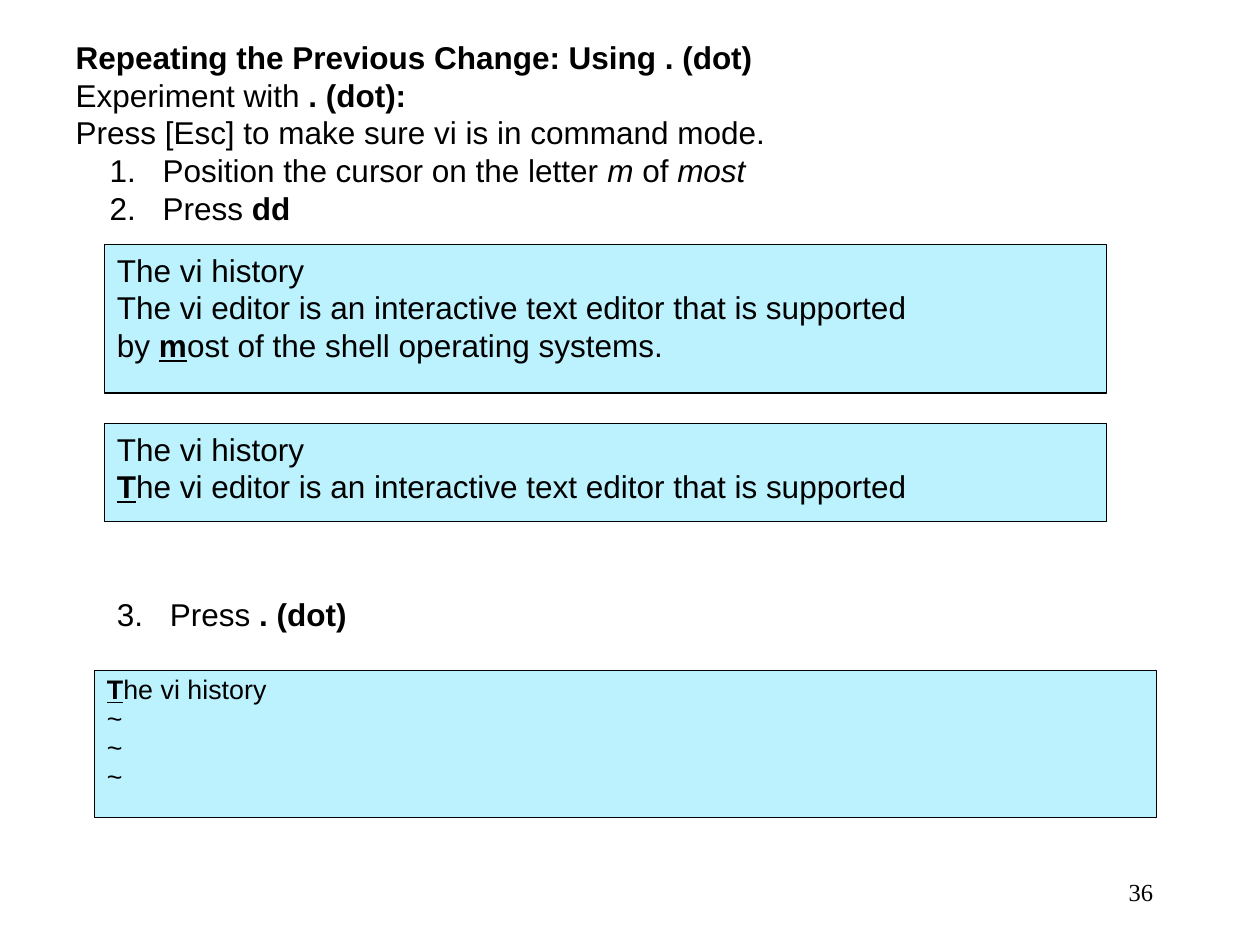
from lxml.etree import SubElement
from pptx import Presentation
from pptx.dml.color import RGBColor
from pptx.enum.shapes import MSO_SHAPE as Shape
from pptx.enum.text import MSO_ANCHOR as Anchor, MSO_AUTO_SIZE as AutoSize, PP_ALIGN as Align
from pptx.oxml.ns import qn
from pptx.util import Inches, Pt

BLACK = "000000"
SCREEN_FILL = "BCF1FE"
HANGING = 0.42


def color(value):
    """Turn a hex string into a colour."""
    return RGBColor.from_string(value)


def place(shape, box):
    """Move a shape to a left, top, width, height box in inches."""
    shape.left, shape.top, shape.width, shape.height = map(Inches, box)


def set_list_format(paragraph, number, indent):
    """Number a paragraph with a hanging indent, or clear its bullet."""
    properties = paragraph._p.get_or_add_pPr()
    if number:
        properties.set("marL", str(Inches(indent + HANGING)))
        properties.set("indent", str(-Inches(HANGING)))
        bullet = SubElement(properties, qn("a:buAutoNum"), type="arabicPeriod")
        if number > 1 and indent == 0:
            bullet.set("startAt", str(number))
    else:
        properties.set("marL", "0")
        properties.set("indent", "0")
        SubElement(properties, qn("a:buNone"))


def write(shape, lines, size=18, spacing=1.0, numbers=(), indent=0,
          font="Arial", align=Align.LEFT, anchor=Anchor.TOP):
    """Fill a shape with lines, each a list of (text, style letters) runs."""
    frame = shape.text_frame
    frame.word_wrap = True
    frame.auto_size = AutoSize.NONE
    frame.vertical_anchor = anchor
    for index, line in enumerate(lines):
        paragraph = frame.add_paragraph() if index else frame.paragraphs[0]
        paragraph.alignment = align
        paragraph.line_spacing = spacing
        paragraph.space_before = Pt(0)
        set_list_format(paragraph, numbers[index] if numbers else None, indent)
        for text, style in line:
            run = paragraph.add_run()
            run.text = text
            run.font.name = font
            run.font.size = Pt(size)
            run.font.color.rgb = color(BLACK)
            run.font.bold = "b" in style
            run.font.italic = "i" in style
            run.font.underline = "u" in style


def add_heading(slide, box):
    """Place the slide title."""
    place(slide.shapes.title, box)
    write(slide.shapes.title, [[("Repeating the Previous Change: Using . (dot)", "b")]])


def add_instructions(slide, box):
    """Place the introduction and the first two steps."""
    body = slide.placeholders[1]
    place(body, box)
    write(body, [
        [("Experiment with ", ""), (". (dot):", "b")],
        [("Press [Esc] to make sure vi is in command mode.", "")],
        [("Position the cursor on the letter ", ""), ("m ", "i"), ("of ", ""), ("most", "i")],
        [("Press ", ""), ("dd", "b")],
    ], numbers=(None, None, 1, 2), indent=0.27)


def add_screen(slide, box, lines, **options):
    """Place a panel that shows the editor screen."""
    screen = slide.shapes.add_shape(Shape.RECTANGLE, *map(Inches, box))
    screen.shadow.inherit = False
    screen.fill.solid()
    screen.fill.fore_color.rgb = color(SCREEN_FILL)
    screen.line.color.rgb = color(BLACK)
    screen.line.width = Pt(0.75)
    write(screen, lines, **options)


def add_text(slide, box, lines, **options):
    """Place a plain text box."""
    write(slide.shapes.add_textbox(*map(Inches, box)), lines, **options)


def main():
    """Build and save the slide."""
    presentation = Presentation()
    presentation.slide_width, presentation.slide_height = Inches(10), Inches(7.5)
    slide = presentation.slides.add_slide(presentation.slide_layouts[1])
    first_line = [("The vi history", "")]

    add_heading(slide, (0.5, 0.25, 9.17, 0.4))
    add_instructions(slide, (0.5, 0.55, 9.17, 1.35))
    add_screen(slide, (0.83, 1.94, 7.95, 1.18), [
        first_line,
        [("The vi editor is an interactive text editor that is supported", "")],
        [("by ", ""), ("m", "bu"), ("ost of the shell operating systems.", "")],
    ])
    add_screen(slide, (0.83, 3.36, 7.95, 0.78), [
        first_line,
        [("T", "bu"), ("he vi editor is an interactive text editor that is supported", "")],
    ])
    add_text(slide, (0.83, 4.67, 8.25, 0.4),
             [[("Press ", ""), (". (dot)", "b")]], numbers=(3,))
    add_screen(slide, (0.75, 5.32, 8.43, 1.17),
               [[("T", "bu"), ("he vi history", "")]] + [[("~", "")]] * 3,
               size=15.3, spacing=0.9)
    add_text(slide, (7.17, 6.83, 2.08, 0.5), [[("36", "")]], size=14,
             font="Times New Roman", align=Align.RIGHT, anchor=Anchor.MIDDLE)
    presentation.save("out.pptx")


if __name__ == "__main__":
    main()
